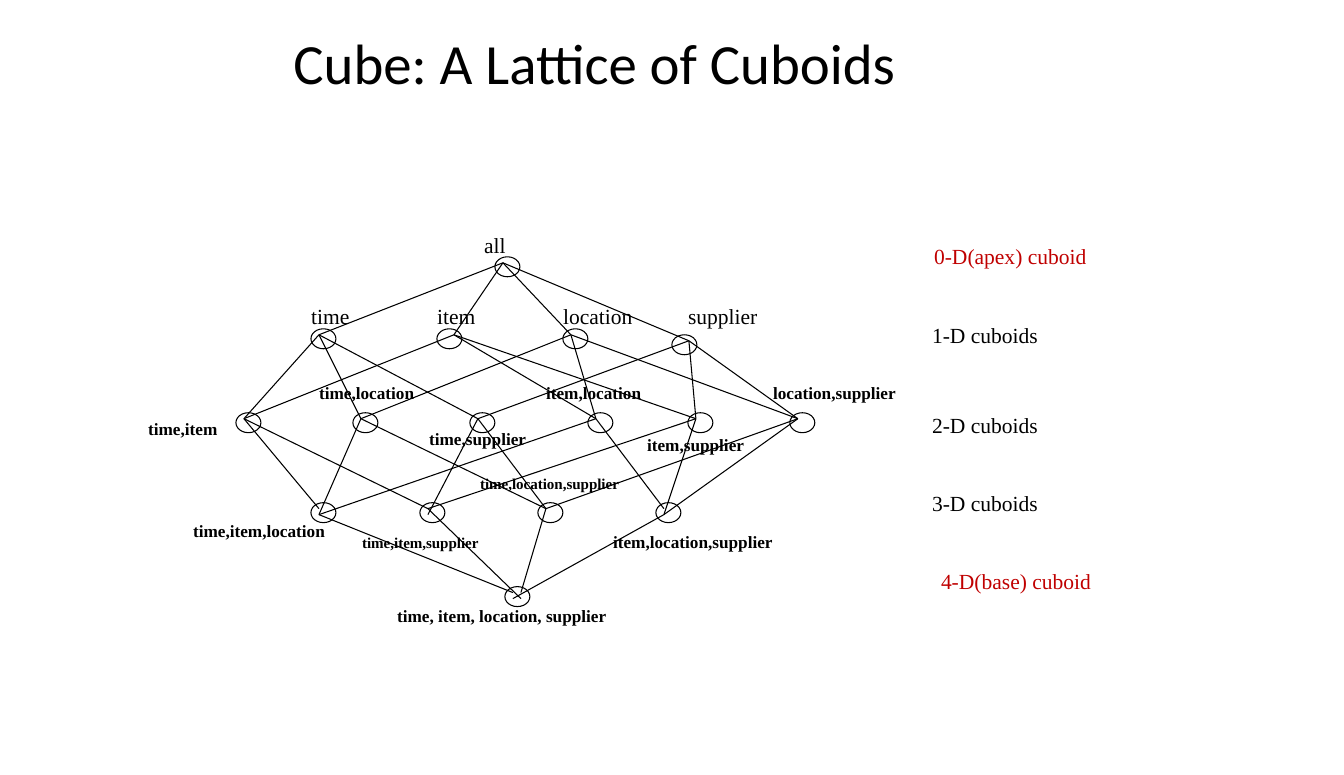
from itertools import product
from lxml import etree
from pptx import Presentation
from pptx.dml.color import RGBColor
from pptx.enum.shapes import MSO_CONNECTOR, MSO_SHAPE
from pptx.enum.text import MSO_ANCHOR, MSO_AUTO_SIZE, PP_ALIGN
from pptx.oxml.ns import qn
from pptx.util import Inches, Pt

BLACK = RGBColor(0x00, 0x00, 0x00)
WHITE = RGBColor(0xFF, 0xFF, 0xFF)
RED = RGBColor(0xC0, 0x00, 0x00)
SCALE = 914400 / 103.4

# Each cuboid is keyed by the initials of its dimensions: left and top of its node.
LEVELS = [
    {"": (495, 257)},
    {"t": (311, 329), "i": (437, 329), "l": (563, 329), "s": (672, 335)},
    {"ti": (236, 413), "tl": (353, 413), "ts": (470, 413),
     "il": (588, 413), "is": (688, 413), "ls": (790, 413)},
    {"til": (311, 503), "tis": (420, 503), "tls": (538, 503), "ils": (656, 503)},
    {"tils": (505, 587)},
]
# Nodes whose edges meet right of the usual point
RIGHT_HUBS = {"i", "s"}
# Edge ends that sit off the usual point: (start dy, end dx, end dy)
SHIFTS = {
    ("tl", "til"): (0, 0, 6), ("ts", "tis"): (0, 0, 6), ("il", "til"): (0, 0, 6),
    ("is", "ils"): (0, 0, 6), ("ls", "ils"): (0, 0, 6),
    ("til", "tils"): (6, 0, 0), ("tis", "tils"): (0, 8, 6),
    ("tls", "tils"): (0, 8, 0), ("ils", "tils"): (6, 0, 6),
}
# Labels: text, left, top, width, height
DIMENSION_LABELS = [
    ("time", 301, 298, 59, 36), ("item", 427, 298, 59, 36),
    ("location", 553, 298, 91, 36), ("supplier", 678, 298, 91, 36),
]
CUBOID_LABELS = [
    ("time,item", 138, 414, 91, 31),
    ("time,location", 309, 378, 117, 31),
    ("time,supplier", 419, 424, 119, 31),
    ("item,location", 536, 378, 117, 31),
    ("item,supplier", 637, 430, 119, 31),
    ("location,supplier", 763, 378, 145, 31),
    ("time,item,location", 183, 516, 155, 31),
    ("item,location,supplier", 603, 527, 183, 31),
    ("time, item, location, supplier", 387, 601, 233, 31),
]
SMALL_LABELS = [
    ("time,item,supplier", 352, 529, 140, 29),
    ("time,location,supplier", 470, 470, 162, 29),
]
LEVEL_LABELS = [
    ("0-D(apex) cuboid", 924, 238, 175, 36, RED),
    ("1-D cuboids", 922, 317, 128, 36, BLACK),
    ("2-D cuboids", 922, 407, 128, 36, BLACK),
    ("3-D cuboids", 922, 485, 128, 36, BLACK),
    ("4-D(base) cuboid", 931, 563, 173, 36, RED),
]


def px(*lengths):
    """Turn picture pixels into EMU."""
    return [round(n * SCALE) for n in lengths]


class LatticeSlide:
    """The current slide and the style of its elements."""

    font = "Times New Roman"
    line_width = Pt(0.75)

    def __init__(self, prs):
        """Add a title-only slide."""
        self.s = prs.slides.add_slide(prs.slide_layouts[5])

    def set_font(self, p, size, name, color=BLACK, bold=False):
        """Format a paragraph."""
        p.font.size, p.font.name, p.font.bold = Pt(size), name, bold
        p.font.color.rgb = color

    def title(self, text, left, top, width, height):
        """Place and fill the title placeholder."""
        sp = self.s.shapes.title
        sp.left, sp.top, sp.width, sp.height = px(left, top, width, height)
        tf = sp.text_frame
        tf.text = text
        tf.vertical_anchor = MSO_ANCHOR.MIDDLE
        tf.auto_size = MSO_AUTO_SIZE.NONE
        p = tf.paragraphs[0]
        p.alignment = PP_ALIGN.CENTER
        self.set_font(p, 39.6, "Calibri")

    def label(self, text, left, top, width, height, color=BLACK,
              size=15, bold=False, align=PP_ALIGN.LEFT):
        """Add an unwrapped text label."""
        tf = self.s.shapes.add_textbox(*px(left, top, width, height)).text_frame
        tf.text = text
        tf.word_wrap = False
        tf.auto_size = MSO_AUTO_SIZE.SHAPE_TO_FIT_TEXT
        p = tf.paragraphs[0]
        p.alignment = align
        self.set_font(p, size, self.font, color, bold)

    def node(self, left, top):
        """Add the circle of one cuboid."""
        sp = self.s.shapes.add_shape(MSO_SHAPE.FLOWCHART_CONNECTOR,
                                     *px(left, top, 25, 20))
        sp.shadow.inherit = False
        sp.fill.solid()
        sp.fill.fore_color.rgb = WHITE
        sp.line.color.rgb = BLACK
        sp.line.width = self.line_width

    def edge(self, x1, y1, x2, y2):
        """Add a straight line between two cuboids."""
        cxn = self.s.shapes.add_connector(MSO_CONNECTOR.STRAIGHT,
                                          *px(x1, y1, x2, y2))
        cxn.line.color.rgb = BLACK
        cxn.line.width = self.line_width
        etree.SubElement(cxn._element.spPr, qn("a:effectLst"))


def hub(key, node):
    """Return the point where the edges of a node meet."""
    left, top = node
    return left + (17 if key in RIGHT_HUBS else 8), top + 6


def draw_lattice(slide):
    """Draw all nodes, then join each cuboid to those with one more dimension."""
    for level in LEVELS:
        for node in level.values():
            slide.node(*node)
    for upper, lower in zip(LEVELS, LEVELS[1:]):
        for (a, start), (b, end) in product(upper.items(), lower.items()):
            if set(a) <= set(b):
                dy1, dx2, dy2 = SHIFTS.get((a, b), (0, 0, 0))
                x1, y1 = hub(a, start)
                x2, y2 = hub(b, end)
                slide.edge(x1, y1 + dy1, x2 + dx2, y2 + dy2)


def main():
    """Build the slide and save it."""
    prs = Presentation()
    prs.slide_width, prs.slide_height = Inches(13), Inches(7.5)
    slide = LatticeSlide(prs)
    slide.title("Cube: A Lattice of Cuboids", 145, 33, 899, 58)
    draw_lattice(slide)
    slide.label("all", 474, 227, 42, 36, align=PP_ALIGN.CENTER)
    for label in DIMENSION_LABELS + LEVEL_LABELS:
        slide.label(*label)
    for label in CUBOID_LABELS:
        slide.label(*label, size=12, bold=True)
    for label in SMALL_LABELS:
        slide.label(*label, size=10.5, bold=True)
    prs.save("out.pptx")


main()
